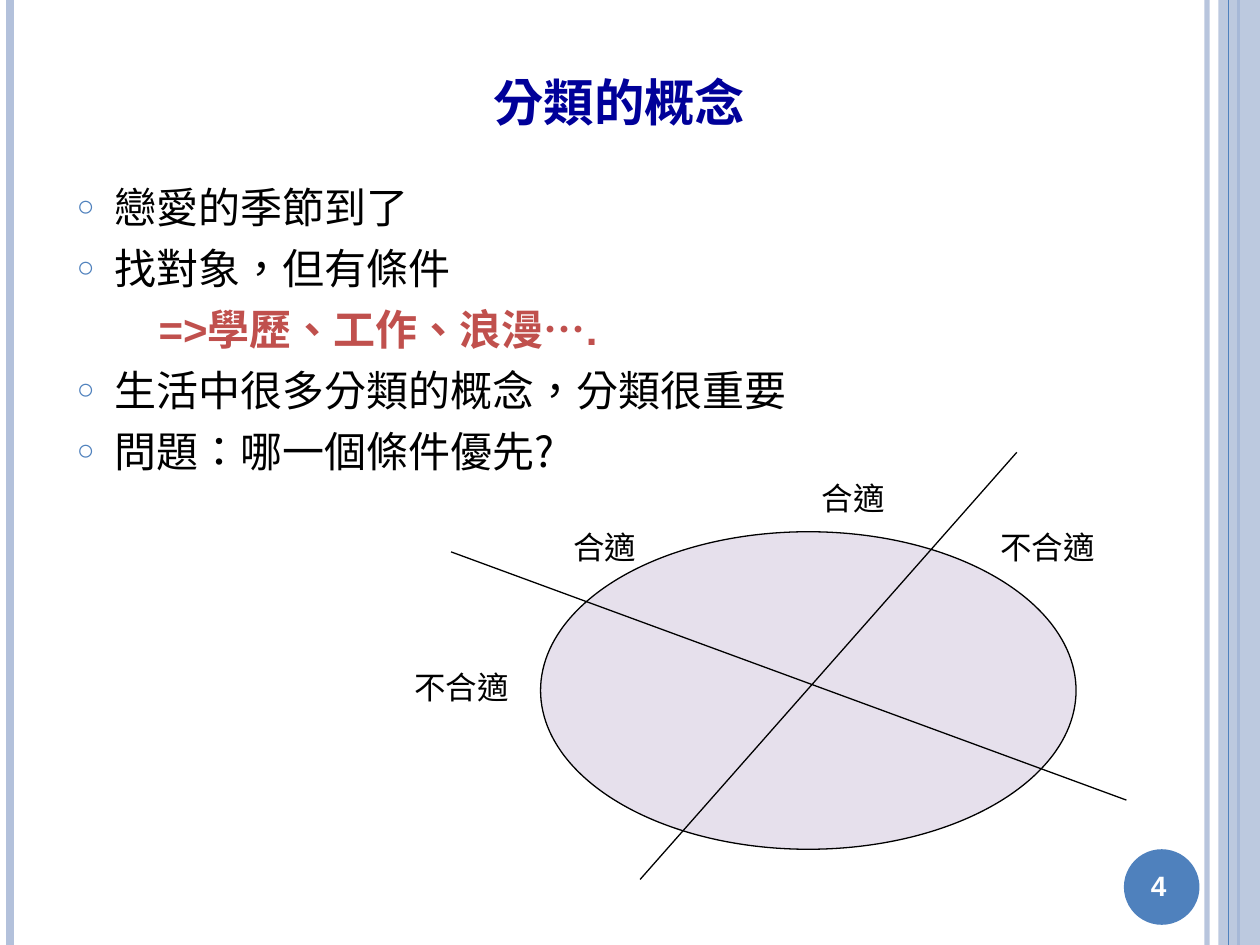
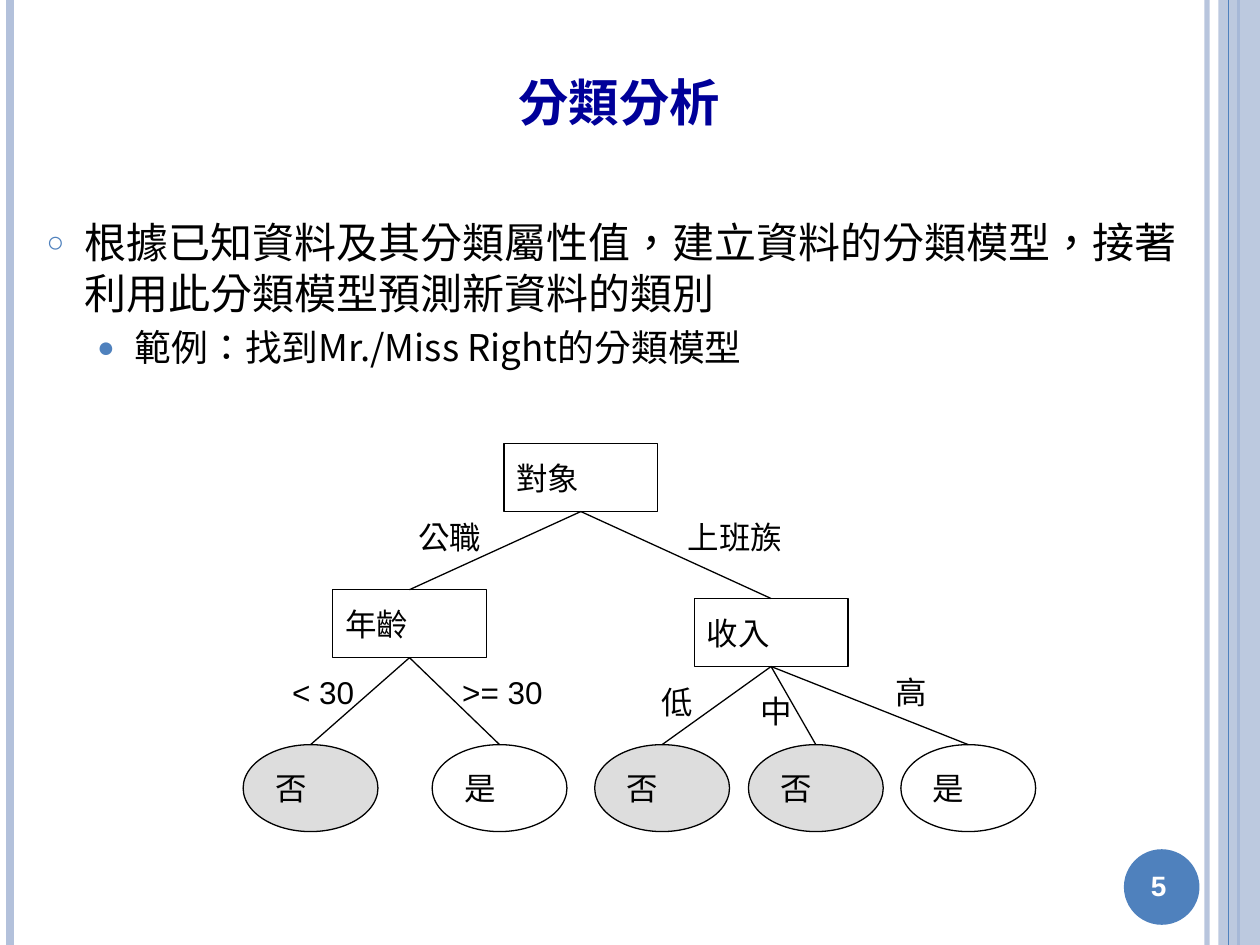
from lxml import etree
from pptx import Presentation
from pptx import util as u
from pptx.dml.color import RGBColor
from pptx.enum import shapes, text
from pptx.oxml.ns import qn

Inches, Pt = u.Inches, u.Pt

# Shared style
BAND = RGBColor(0xB3, 0xC1, 0xDB)
ACCENT = RGBColor(0x4F, 0x81, 0xBD)
NAVY = RGBColor(0x00, 0x00, 0x99)
RED = RGBColor(0xC0, 0x50, 0x4D)
LILAC = RGBColor(0xE6, 0xE0, 0xEC)
GRAY = RGBColor(0xDD, 0xDD, 0xDD)
BLACK = RGBColor(0, 0, 0)
WHITE = RGBColor(0xFF, 0xFF, 0xFF)
LATIN_FONT, CJK_FONT = "Arial", "Noto Sans CJK SC"
NODE_WIDTH, NODE_HEIGHT = 1.22, 0.54
LEAF_WIDTH, LEAF_HEIGHT, LEAF_TOP = 1.07, 0.69, 5.91
LABEL_HEIGHT = 0.4


def add_run(paragraph, content, size=18, font=LATIN_FONT, color=BLACK, bold=False):
    run = paragraph.add_run()
    run.text = content
    run.font.size = Pt(size)
    run.font.name = font
    run.font.bold = bold
    run.font.color.rgb = color
    properties = run.font._element
    properties.set("lang", "zh-TW")
    east_asian = etree.Element(qn("a:ea"), typeface=CJK_FONT)
    properties.find(qn("a:latin")).addnext(east_asian)
    return run


def place(shape, left, top, width, height):
    shape.left, shape.top = Inches(left), Inches(top)
    shape.width, shape.height = Inches(width), Inches(height)


def set_alpha(parent, percent):
    color = next(parent.iter(qn("a:srgbClr")))
    etree.SubElement(color, qn("a:alpha"), val=str(percent * 1000))


def add_line(slide, start, end, color=BLACK, width=0.75):
    line = slide.shapes.add_connector(
        shapes.MSO_CONNECTOR.STRAIGHT, *(Inches(value) for value in (*start, *end)))
    line.line.color.rgb = color
    line.line.width = Pt(width)
    etree.SubElement(line.element.spPr, qn("a:effectLst"))
    return line


def add_figure(slide, kind, left, top, width, height, fill=None, outline=BLACK):
    shape = slide.shapes.add_shape(
        kind, *(Inches(value) for value in (left, top, width, height)))
    shape.shadow.inherit = False
    if fill is None:
        shape.fill.background()
    else:
        shape.fill.solid()
        shape.fill.fore_color.rgb = fill
    if outline is None:
        shape.line.fill.background()
    else:
        shape.line.color.rgb = outline
        shape.line.width = Pt(0.75)
    return shape


def write_middle(shape, content, align=text.PP_ALIGN.LEFT, **style):
    frame = shape.text_frame
    frame.word_wrap = True
    frame.vertical_anchor = text.MSO_ANCHOR.MIDDLE
    paragraph = frame.paragraphs[0]
    paragraph.alignment = align
    add_run(paragraph, content, **style)


def add_label(slide, content, left, top, width, height=LABEL_HEIGHT, **style):
    box = slide.shapes.add_textbox(
        *(Inches(value) for value in (left, top, width, height)))
    write_middle(box, content, **style)


def add_node(slide, content, left, top):
    node = add_figure(slide, shapes.MSO_SHAPE.RECTANGLE,
                      left, top, NODE_WIDTH, NODE_HEIGHT)
    write_middle(node, content)
    return node


def add_leaf(slide, content, left):
    leaf = add_figure(slide, shapes.MSO_SHAPE.OVAL, left, LEAF_TOP,
                      LEAF_WIDTH, LEAF_HEIGHT, GRAY if content == "否" else None)
    write_middle(leaf, content)
    return leaf


def add_branch(slide, parent, child):
    branch = add_line(slide, (0, 0), (1, 1))
    branch.begin_connect(parent, 2)
    branch.end_connect(child, 0)


# Title and list
def write_title(slide, content):
    title = slide.shapes.title
    place(title, 0.5, 0.3, 8.83, 0.93)
    write_middle(title, content, text.PP_ALIGN.CENTER,
                 size=36, font=CJK_FONT, color=NAVY, bold=True)
    title.text_frame.paragraphs[0].runs[0].font._element.set("cap", "small")


def format_item(paragraph, margin, hanging, space, bullet=None, bullet_size=70):
    paragraph.space_before = Pt(space)
    properties = paragraph._p.get_or_add_pPr()
    properties.set("marL", str(Inches(margin)))
    properties.set("indent", str(-Inches(hanging)))
    if bullet is None:
        etree.SubElement(properties, qn("a:buNone"))
        return
    color = etree.SubElement(properties, qn("a:buClr"))
    etree.SubElement(color, qn("a:srgbClr"), val=str(ACCENT))
    etree.SubElement(properties, qn("a:buSzPct"), val=str(bullet_size * 1000))
    etree.SubElement(properties, qn("a:buFont"), typeface=LATIN_FONT)
    etree.SubElement(properties, qn("a:buChar"), char=bullet)


def write_list(slide, position, items):
    body = slide.placeholders[1]
    place(body, *position)
    frame = body.text_frame
    frame.auto_size = text.MSO_AUTO_SIZE.NONE
    for index, (kind, content) in enumerate(items):
        paragraph = frame.add_paragraph() if index else frame.paragraphs[0]
        if kind == "item":
            format_item(paragraph, 0.3, 0.3, 6, "○")
            add_run(paragraph, content, 24, CJK_FONT)
        elif kind == "subitem":
            paragraph.level = 1
            format_item(paragraph, 0.7, 0.3, 4.2, "●", 80)
            add_run(paragraph, content, 21, CJK_FONT)
        else:
            format_item(paragraph, 0.65, 0, 6)
            add_run(paragraph, content, 24, color=RED, bold=True)


# Bands and number disc, kept on the layout
def decorate_layout(layout, slide):
    def add_band(x, color, width):
        return add_line(slide, (x, 0), (x, 7.5), color, width)

    inner = add_band(9.58, BAND, 3)
    set_alpha(inner.element, 93)
    left = add_band(0.08, BAND, 4.5)
    dark = add_band(9.83, ACCENT, 1.5)
    strip = add_figure(slide, shapes.MSO_SHAPE.RECTANGLE, 9.67, 0, 0.33, 7.5, BAND, None)
    set_alpha(strip.element, 87)
    thin = add_band(9.75, ACCENT, 0.75)
    disc = add_figure(slide, shapes.MSO_SHAPE.OVAL, 8.92, 6.74, 0.6, 0.6, ACCENT, None)
    for part in (inner, left, dark, strip, thin, disc):
        layout.shapes.element.append(part.element)


def add_number(slide, number):
    add_label(slide, number, 8.86, 6.74, 0.67, 0.57, align=text.PP_ALIGN.CENTER,
              size=16, color=WHITE, bold=True)


def build_concept(slide):
    write_title(slide, "分類的概念")
    write_list(slide, (0.51, 1.39, 8.74, 5.51), [
        ("item", "戀愛的季節到了"),
        ("item", "找對象，但有條件"),
        ("conclusion", "=>學歷、工作、浪漫…."),
        ("item", "生活中很多分類的概念，分類很重要"),
        ("item", "問題：哪一個條件優先?"),
    ])
    # Candidates split by two criteria
    add_figure(slide, shapes.MSO_SHAPE.OVAL, 4.29, 4.22, 4.25, 2.52, LILAC)
    add_line(slide, (8.07, 3.59), (5.08, 6.98))
    add_line(slide, (3.58, 4.38), (8.94, 6.35))
    for content, left, top, align in (
            ("不合適", 7.84, 4.14, text.PP_ALIGN.LEFT),
            ("合適", 5.94, 3.75, text.PP_ALIGN.RIGHT),
            ("不合適", 3.19, 5.25, text.PP_ALIGN.LEFT),
            ("合適", 4.45, 4.14, text.PP_ALIGN.LEFT)):
        add_label(slide, content, left, top, 1.18, align=align)
    add_number(slide, "4")


def build_analysis(slide):
    write_title(slide, "分類分析")
    write_list(slide, (0.27, 1.67, 9.29, 5.25), [
        ("item", "根據已知資料及其分類屬性值，建立資料的分類模型，"
                 "接著利用此分類模型預測新資料的類別"),
        ("subitem", "範例：找到Mr./Miss Right的分類模型"),
    ])
    # Decision tree
    target = add_node(slide, "對象", 4, 3.52)
    age = add_node(slide, "年齡", 2.64, 4.68)
    income = add_node(slide, "收入", 5.51, 4.75)
    add_branch(slide, target, age)
    add_branch(slide, target, income)
    for parent, content, left in (
            (age, "否", 1.93), (age, "是", 3.43),
            (income, "否", 4.72), (income, "否", 5.94), (income, "是", 7.15)):
        add_branch(slide, parent, add_leaf(slide, content, left))
    # Branch conditions
    for content, left, top, width in (
            ("公職", 3.22, 4.06, 0.86), ("上班族", 5.36, 4.06, 0.97),
            ("< 30", 2.22, 5.29, 1), (">= 30", 3.57, 5.29, 1),
            ("低", 5.15, 5.37, 0.86), ("中", 5.94, 5.44, 0.86),
            ("高", 7.01, 5.29, 0.86)):
        add_label(slide, content, left, top, width)
    add_number(slide, "5")


def main():
    presentation = Presentation()
    presentation.slide_width, presentation.slide_height = Inches(10), Inches(7.5)
    layout = presentation.slide_layouts[1]
    concept, analysis = (presentation.slides.add_slide(layout) for _ in range(2))
    decorate_layout(layout, concept)
    build_concept(concept)
    build_analysis(analysis)
    presentation.save("out.pptx")


if __name__ == "__main__":
    main()
